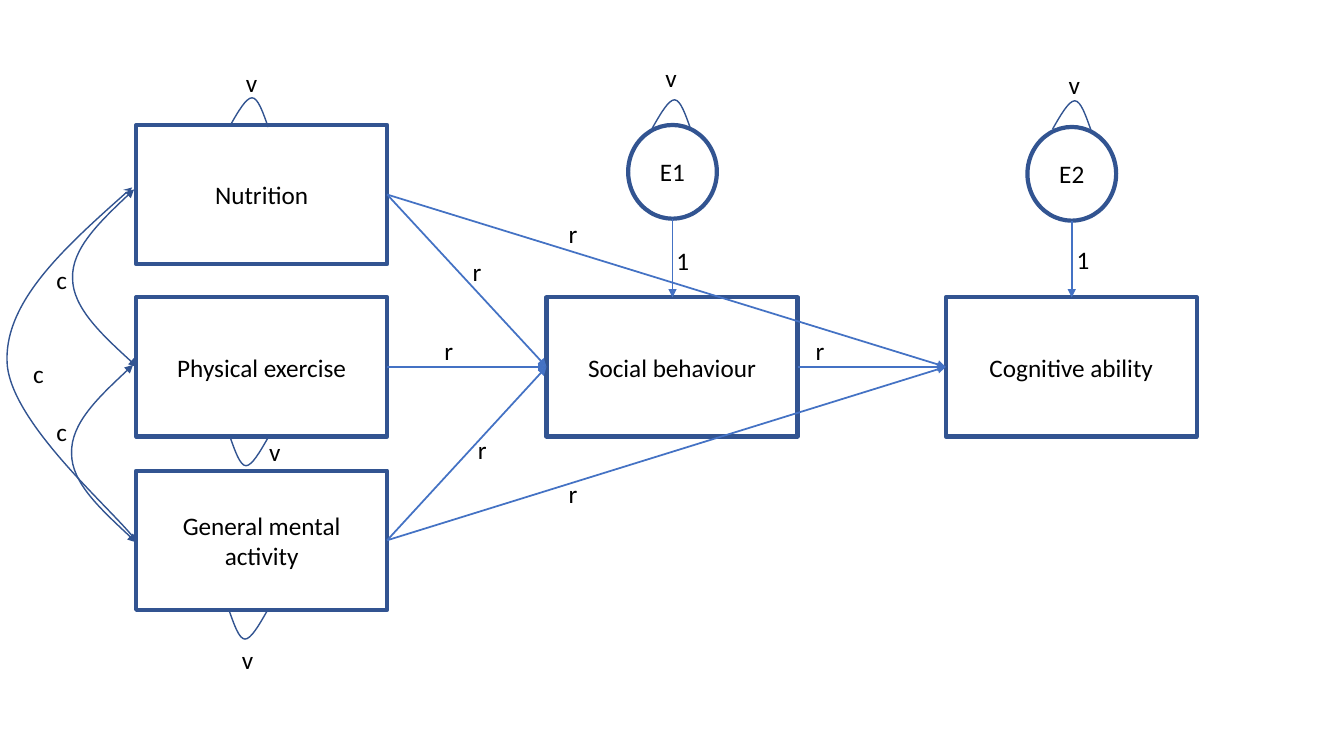
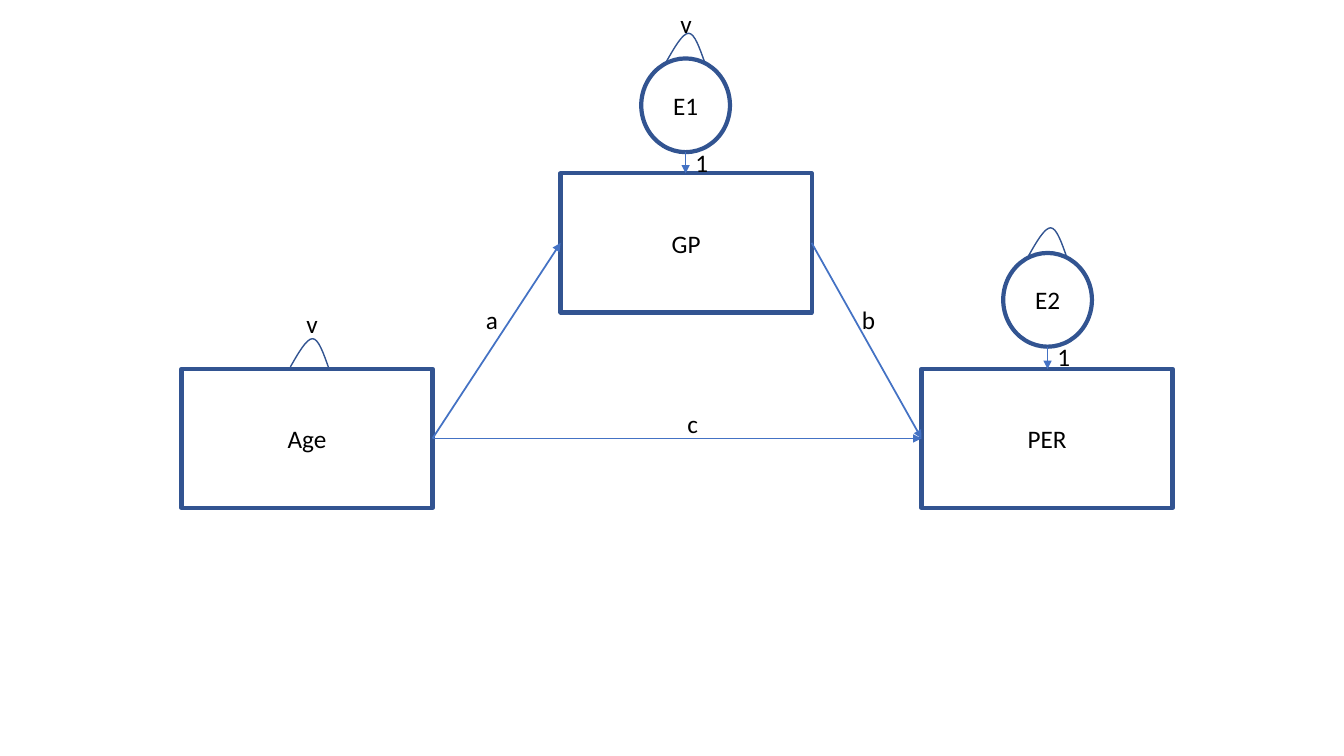
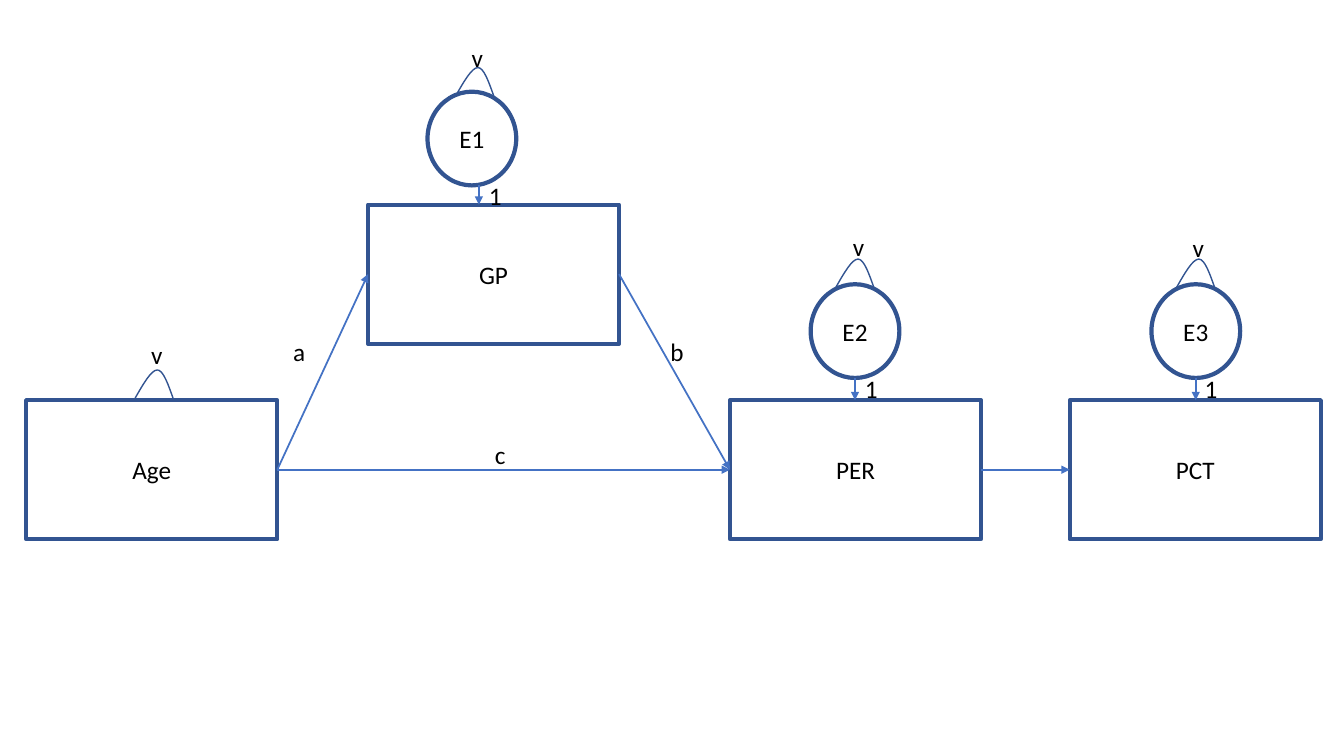
from dataclasses import dataclass

from lxml.etree import SubElement
from pptx import Presentation
from pptx.dml.color import RGBColor
from pptx.enum.shapes import MSO_CONNECTOR as Connector, MSO_SHAPE as Preset
from pptx.enum.text import MSO_ANCHOR as Anchor, MSO_AUTO_SIZE as AutoSize, PP_ALIGN as Align
from pptx.oxml.ns import qn
from pptx.util import Inches, Pt


@dataclass(frozen=True)
class Theme:
    outline: RGBColor = RGBColor(0x32, 0x54, 0x91)
    arrow: RGBColor = RGBColor(0x44, 0x72, 0xC4)
    ink: RGBColor = RGBColor(0, 0, 0)
    font: str = "Calibri"
    text_size: float = 18
    outline_width: float = 3
    arrow_width: float = 1.25
    curve_width: float = 1


THEME = Theme()
SLIDE_W, SLIDE_H = 13.33, 7.5
BOX_W, BOX_H = 2.49, 1.38
CIRCLE_W, CIRCLE_H = 0.88, 0.93
LOOP_W, LOOP_H = 0.38, 0.29
LABEL_H = 0.4
LABEL_W = {"a": 0.32, "b": 0.34, "c": 0.31, "r": 0.29, "v": 0.32, "1": 0.33}
LOOP = [(0, 0.28), (0.08, 0.14), (0.16, 0), (0.22, 0), (0.28, 0), (0.33, 0.15), (0.38, 0.29)]

CAUSE_X, MEDIATOR_X, OUTCOME_X = 1.35, 5.42, 9.38
TOP_ROW, MIDDLE_ROW, BOTTOM_ROW = 1.24, 2.95, 4.67

DIAGRAMS = [
    {
        "boxes": {
            "Nutrition": (CAUSE_X, TOP_ROW),
            "Physical exercise": (CAUSE_X, MIDDLE_ROW),
            "General mental activity": (CAUSE_X, BOTTOM_ROW),
            "Social behaviour": (MEDIATOR_X, MIDDLE_ROW),
            "Cognitive ability": (OUTCOME_X, MIDDLE_ROW),
        },
        "paths": [
            ("Nutrition", "Social behaviour"),
            ("Physical exercise", "Social behaviour"),
            ("General mental activity", "Social behaviour"),
            ("Social behaviour", "Cognitive ability"),
            ("Nutrition", "Cognitive ability"),
            ("General mental activity", "Cognitive ability"),
        ],
        "errors": [
            ("E1", 6.23, 1.24, "Social behaviour", 6.67),
            ("E2", 10.19, 1.26, "Cognitive ability", 10.63),
        ],
        "covariances": [
            ("triangle", [(1.33, 1.88), (1.02, 2.17), (0.71, 2.47), (0.72, 2.76),
                          (0.72, 3.05), (1.04, 3.35), (1.36, 3.64)]),
            ("triangle", [(1.32, 3.62), (1.01, 3.91), (0.7, 4.2), (0.71, 4.5),
                          (0.71, 4.79), (1.03, 5.08), (1.35, 5.38)]),
            ("stealth", [(1.31, 1.86), (0.68, 2.42), (0.06, 2.98), (0.07, 3.57),
                         (0.07, 4.15), (1.19, 5.12), (1.36, 5.38)]),
        ],
        "loops_above": [(6.47, 0.99), (10.44, 1), (2.28, 0.97)],
        "loops_below": [(2.27, 6.05), (2.28, 4.33)],
        "labels": {
            "v": [(2.34, 0.62), (10.5, 0.64), (2.57, 4.28), (2.3, 6.34), (6.5, 0.57)],
            "c": [(0.46, 4.08), (0.46, 2.57), (0.23, 3.51)],
            "r": [(4.31, 3.28), (5.54, 2.12), (4.59, 2.49),
                  (4.64, 4.26), (5.54, 4.7), (7.99, 3.28)],
            "1": [(10.58, 2.37), (6.61, 2.38)],
        },
    },
    {
        "boxes": {"GP": (5.56, 1.72), "Age": (1.8, 3.66), "PER": (9.14, 3.66)},
        "paths": [("GP", "PER"), ("Age", "PER"), ("Age", "GP")],
        "errors": [("E1", 6.36, 0.58, "GP", 6.8), ("E2", 9.95, 2.51, "PER", 10.39)],
        "loops_above": [(6.61, 0.33), (10.2, 2.26), (2.88, 3.36)],
        "labels": {
            "a": [(4.72, 2.97)],
            "b": [(8.45, 2.97)],
            "c": [(6.72, 4)],
            "v": [(6.65, 0.03), (2.94, 3.01)],
            "1": [(6.8, 1.41), (10.39, 3.34)],
        },
    },
    {
        "boxes": {"GP": (3.65, 2.03), "Age": (0.26, 3.97),
                  "PER": (7.24, 3.97), "PCT": (10.61, 3.97)},
        "paths": [("GP", "PER"), ("Age", "PER"), ("Age", "GP"), ("PER", "PCT")],
        "errors": [
            ("E1", 4.24, 0.91, "GP", 4.75),
            ("E2", 8.04, 2.82, "PER", 8.48),
            ("E3", 11.42, 2.82, "PCT", 11.86),
        ],
        "loops_above": [(4.52, 0.67), (8.29, 2.57), (1.34, 3.67), (11.67, 2.57)],
        "labels": {
            "a": [(2.81, 3.29)],
            "b": [(6.55, 3.29)],
            "c": [(4.81, 4.31)],
            "v": [(4.58, 0.37), (1.4, 3.32), (8.36, 2.25), (11.73, 2.26)],
            "1": [(4.75, 1.74), (8.48, 3.65), (11.85, 3.65)],
        },
    },
]


def write(frame, text, align):
    paragraph = frame.paragraphs[0]
    paragraph.text = text
    paragraph.alignment = align
    paragraph.font.name = THEME.font
    paragraph.font.size = Pt(THEME.text_size)
    paragraph.font.color.rgb = THEME.ink


def style_line(line, color, width, head=None, tail=None):
    line.color.rgb = color
    line.width = Pt(width)
    for tag, arrowhead in (("a:headEnd", head), ("a:tailEnd", tail)):
        if arrowhead:
            SubElement(line._get_or_add_ln(), qn(tag)).set("type", arrowhead)


def add_variable(slide, preset, text, left, top, width, height):
    variable = slide.shapes.add_shape(preset, *map(Inches, (left, top, width, height)))
    variable.shadow.inherit = False
    variable.fill.background()
    style_line(variable.line, THEME.outline, THEME.outline_width)
    variable.text_frame.word_wrap = True
    variable.text_frame.vertical_anchor = Anchor.MIDDLE
    write(variable.text_frame, text, Align.CENTER)


def add_arrow(slide, start, end):
    arrow = slide.shapes.add_connector(Connector.STRAIGHT, *map(Inches, (*start, *end)))
    style_line(arrow.line, THEME.arrow, THEME.arrow_width, tail="triangle")
    SubElement(arrow._element.spPr, qn("a:effectLst"))


def add_curve(slide, points, head=None, tail=None):
    start, *others = [(Inches(x), Inches(y)) for x, y in points]
    builder = slide.shapes.build_freeform(*start)
    builder.add_line_segments(others, close=False)
    curve = builder.convert_to_shape()
    segments = list(curve._element.iter(qn("a:lnTo")))
    outline = segments[0].getparent()
    for first in range(0, len(segments), 3):
        bezier = SubElement(outline, qn("a:cubicBezTo"))
        for segment in segments[first:first + 3]:
            bezier.append(segment[0])
            outline.remove(segment)
    curve.shadow.inherit = False
    curve.fill.background()
    style_line(curve.line, THEME.outline, THEME.curve_width, head, tail)


def add_label(slide, text, left, top):
    label = slide.shapes.add_textbox(*map(Inches, (left, top, LABEL_W[text], LABEL_H)))
    label.text_frame.word_wrap = False
    label.text_frame.auto_size = AutoSize.SHAPE_TO_FIT_TEXT
    write(label.text_frame, text, Align.LEFT)


def draw(slide, diagram):
    boxes = diagram["boxes"]
    for name, (left, top) in boxes.items():
        add_variable(slide, Preset.RECTANGLE, name, left, top, BOX_W, BOX_H)
    for cause, effect in diagram["paths"]:
        (cause_x, cause_y), (effect_x, effect_y) = boxes[cause], boxes[effect]
        add_arrow(slide, (cause_x + BOX_W, cause_y + BOX_H / 2), (effect_x, effect_y + BOX_H / 2))
    for name, left, top, target, arrow_x in diagram["errors"]:
        add_variable(slide, Preset.OVAL, name, left, top, CIRCLE_W, CIRCLE_H)
        add_arrow(slide, (arrow_x, top + CIRCLE_H), (arrow_x, boxes[target][1]))
    for head, points in diagram.get("covariances", []):
        add_curve(slide, points, head, "triangle")
    for left, top in diagram["loops_above"]:
        add_curve(slide, [(left + x, top + y) for x, y in LOOP])
    for left, top in diagram.get("loops_below", []):
        add_curve(slide, [(left + LOOP_W - x, top + LOOP_H - y) for x, y in LOOP])
    for text, places in diagram["labels"].items():
        for left, top in places:
            add_label(slide, text, left, top)


def main():
    deck = Presentation()
    deck.slide_width, deck.slide_height = Inches(SLIDE_W), Inches(SLIDE_H)
    for diagram in DIAGRAMS:
        draw(deck.slides.add_slide(deck.slide_layouts[6]), diagram)
    deck.save("out.pptx")


if __name__ == "__main__":
    main()
